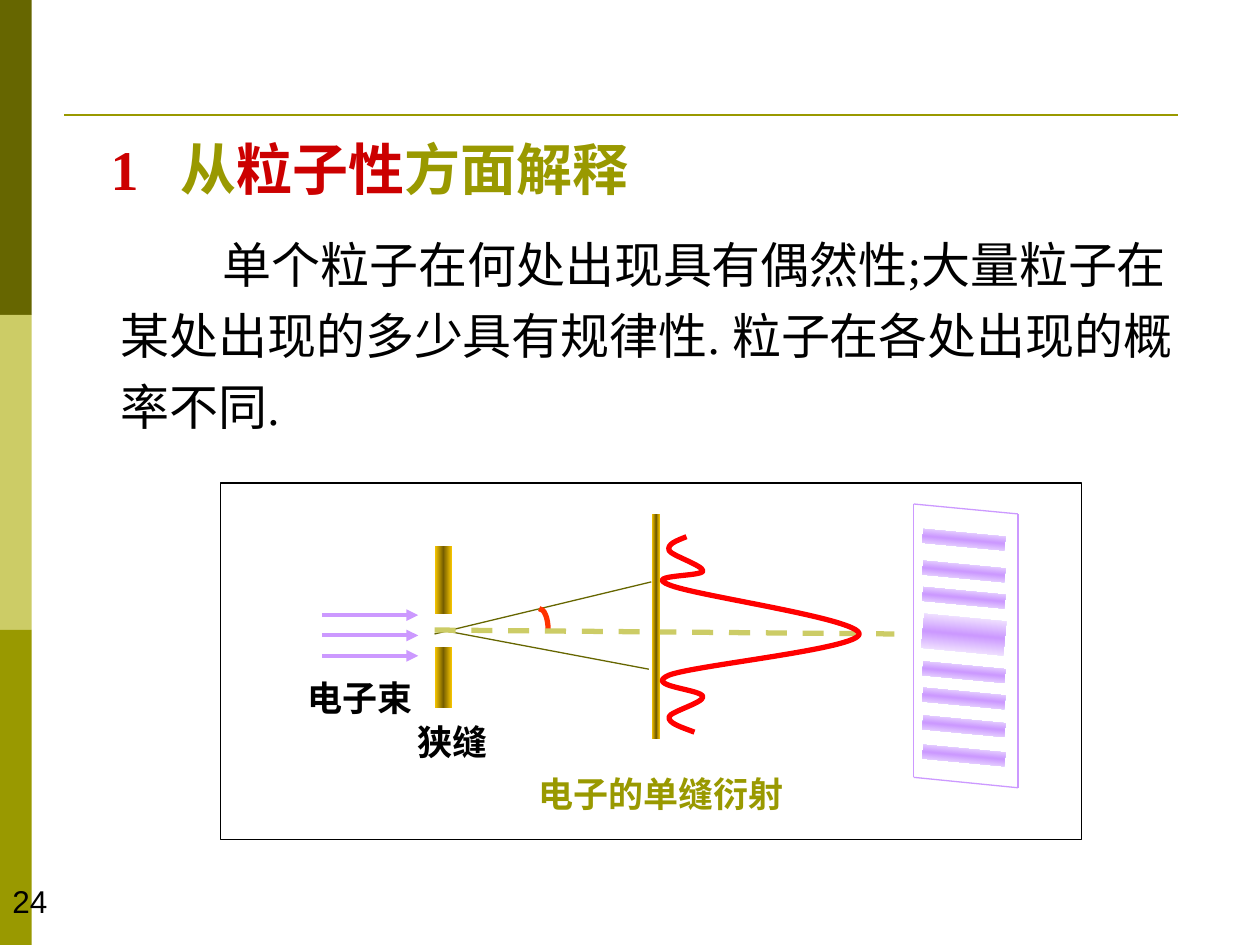
from dataclasses import dataclass
from itertools import pairwise

from lxml import etree
from pptx import Presentation
from pptx import util as u
from pptx.dml.color import RGBColor
from pptx.enum import dml, shapes, text
from pptx.oxml import ns

OLIVE, DARK, PALE = "999900", "666600", "CCCC66"
RED, BLACK, WHITE, LILAC = "CC0000", "000000", "FFFFFF", "CC99FF"
GOLD = ("FFCC00", "765E00", "FFCC00")
GLOW = (WHITE, LILAC, WHITE)
SERIF = "Times New Roman"


@dataclass
class Box:
    x: float
    y: float
    w: float
    h: float


@dataclass
class Line:
    start: tuple[float, float]
    end: tuple[float, float]
    color: str
    width: float = 0.75
    dash: bool = False
    arrow: bool = False


def rgb(value: str) -> RGBColor:
    return RGBColor.from_string(value)


def add_rect(s, box: Box, color: str, line: str | None = None):
    sp = s.shapes.add_shape(shapes.MSO_SHAPE.RECTANGLE, u.Cm(box.x), u.Cm(box.y), u.Cm(box.w), u.Cm(box.h))
    sp.shadow.inherit = False
    sp.fill.solid()
    sp.fill.fore_color.rgb = rgb(color)
    if line:
        sp.line.color.rgb = rgb(line)
        sp.line.width = u.Pt(0.75)
    else:
        sp.line.fill.background()
    return sp


def add_gradient(s, box: Box, colors: tuple[str, ...], angle: int, rotation: float = 0) -> None:
    sp = add_rect(s, box, colors[0])
    sp.rotation = rotation
    sp.fill.gradient()
    sp.fill.gradient_angle = angle
    stops = sp._element.spPr.find(".//" + ns.qn("a:gsLst"))
    for stop in list(stops):
        stops.remove(stop)
    for i, color in enumerate(colors):
        pos = str(100000 * i // (len(colors) - 1))
        stop = etree.SubElement(stops, ns.qn("a:gs"), pos=pos)
        etree.SubElement(stop, ns.qn("a:srgbClr"), val=color)


def add_line(s, line: Line) -> None:
    ends = [u.Cm(v) for v in (*line.start, *line.end)]
    cn = s.shapes.add_connector(shapes.MSO_CONNECTOR.STRAIGHT, *ends)
    cn.line.color.rgb = rgb(line.color)
    cn.line.width = u.Pt(line.width)
    if line.dash:
        cn.line.dash_style = dml.MSO_LINE.DASH
    if line.arrow:
        etree.SubElement(cn.line._get_or_add_ln(), ns.qn("a:tailEnd"), type="triangle")
    etree.SubElement(cn._element.spPr, ns.qn("a:effectLst"))


def add_curve(s, points: list[tuple[float, float]], color: str) -> None:
    first, *rest = [(u.Cm(x), u.Cm(y)) for x, y in points]
    fb = s.shapes.build_freeform(*first, scale=1.0)
    fb.add_line_segments(rest, close=False)
    sp = fb.convert_to_shape()
    outline = sp._element.spPr.find(".//" + ns.qn("a:path"))
    segments = outline.findall(ns.qn("a:lnTo"))
    for i in range(0, len(segments), 3):
        cubic = etree.SubElement(outline, ns.qn("a:cubicBezTo"))
        for segment in segments[i:i + 3]:
            cubic.append(segment[0])
            outline.remove(segment)
    sp.shadow.inherit = False
    sp.fill.background()
    sp.line.color.rgb = rgb(color)
    sp.line.width = u.Pt(3)


def add_text(s, box: Box, runs: list[tuple[str, str]], *, size: float, font: str = SERIF, bold: bool = True,
             wrap: bool = True, left: float = 0, first: float = 0, spacing: float = 1, top: float = 0.13) -> None:
    tf = s.shapes.add_textbox(u.Cm(box.x), u.Cm(box.y), u.Cm(box.w), u.Cm(box.h)).text_frame
    tf.word_wrap = wrap
    tf.vertical_anchor = text.MSO_ANCHOR.TOP
    tf.margin_top = u.Cm(top)
    p = tf.paragraphs[0]
    p.line_spacing = spacing
    pPr = p._p.get_or_add_pPr()
    pPr.set("marL", str(u.Cm(left)))
    pPr.set("indent", str(u.Cm(first)))
    for content, color in runs:
        r = p.add_run()
        r.text = content
        r.font.size = u.Pt(size)
        r.font.name = font
        r.font.bold = bold
        r.font.color.rgb = rgb(color)


def draw_frame(s) -> None:
    for i, color in enumerate((DARK, PALE, OLIVE)):
        add_rect(s, Box(0, 6.35 * i, 0.64, 6.35), color)
    add_line(s, Line((1.3, 2.32), (23.75, 2.32), OLIVE, 1.5))
    add_text(s, Box(0, 17.65, 5.92, 1.02), [("24", BLACK)], size=18, font="Arial", bold=False)


def draw_words(s) -> None:
    body = "单个粒子在何处出现具有偶然性;大量粒子在某处出现的多少具有规律性. 粒子在各处出现的概率不同."
    add_text(s, Box(2.18, 4.17, 22.02, 4.62), [(body, BLACK)], size=28, bold=False,
             first=2.06, spacing=1.2, top=0.33)
    title = [("1\t", RED), ("从", OLIVE), ("粒子性", RED), ("方面解释", OLIVE)]
    add_text(s, Box(1.98, 2.59, 13.16, 1.6), title, size=32, left=1.4, first=-1.4)


def draw_experiment(s) -> None:
    add_rect(s, Box(4.45, 9.74, 17.35, 7.19), WHITE, BLACK)
    for slit in (Box(8.76, 11, 0.36, 1.37), Box(8.76, 13.04, 0.36, 1.24)):
        add_gradient(s, slit, GOLD, 0)
    add_line(s, Line((8.76, 12.78), (13.13, 11.73), DARK))
    add_line(s, Line((8.89, 12.7), (13.08, 13.49), DARK))
    add_curve(s, [(10.87, 12.27), (10.97, 12.27), (11.05, 12.45), (11.05, 12.7)], "FF3300")
    add_line(s, Line((8.76, 12.7), (18.03, 12.78), PALE, 3, dash=True))
    for i in range(3):
        y = 12.4 + 0.41 * i
        add_line(s, Line((6.5, y), (8.43, y), LILAC, 2.25, arrow=True))
    add_text(s, Box(5.95, 13.51, 3.15, 1.09), [("电子束", BLACK)], size=20)
    add_text(s, Box(8.17, 14.4, 2.62, 1.09), [("狭缝", BLACK)], size=20)
    add_gradient(s, Box(13.14, 10.36, 0.17, 4.53), GOLD, 0)
    intensity = [
        (13.84, 10.82), (13.64, 10.9), (13.44, 10.97), (13.49, 11.1),
        (13.54, 11.2), (14.17, 11.4), (14.17, 11.51),
        (14.17, 11.63), (12.95, 11.58), (13.49, 11.79),
        (14, 12.01), (17.32, 12.47), (17.32, 12.78),
        (17.32, 13.08), (14, 13.41), (13.49, 13.61),
        (12.95, 13.84), (14.17, 13.89), (14.17, 14.05),
        (14.17, 14.17), (13.51, 14.35), (13.49, 14.45),
        (13.46, 14.58), (13.74, 14.66), (14, 14.76),
    ]
    add_curve(s, intensity, "FF0000")
    add_text(s, Box(10.6, 15.44, 5.49, 1.09), [("电子的单缝衍射", OLIVE)], size=20, wrap=False)


def draw_fringes(s) -> None:
    add_gradient(s, Box(18.6, 12.45, 1.66, 0.69), GLOW, 270, 5.4)
    for y in (10.74, 11.38, 11.91, 13.41, 13.94, 14.5, 15.09):
        add_gradient(s, Box(18.6, y, 1.66, 0.28), GLOW, 270, 5.4)
    corners = [(18.42, 10.16), (20.52, 10.36), (20.52, 15.88), (18.42, 15.67)]
    for start, end in pairwise(corners + corners[:1]):
        add_line(s, Line(start, end, LILAC))


def main() -> None:
    prs = Presentation()
    prs.slide_width, prs.slide_height = u.Cm(25.4), u.Cm(19.05)
    s = prs.slides.add_slide(prs.slide_layouts[6])
    draw_frame(s)
    draw_words(s)
    draw_experiment(s)
    draw_fringes(s)
    prs.save("out.pptx")


if __name__ == "__main__":
    main()
